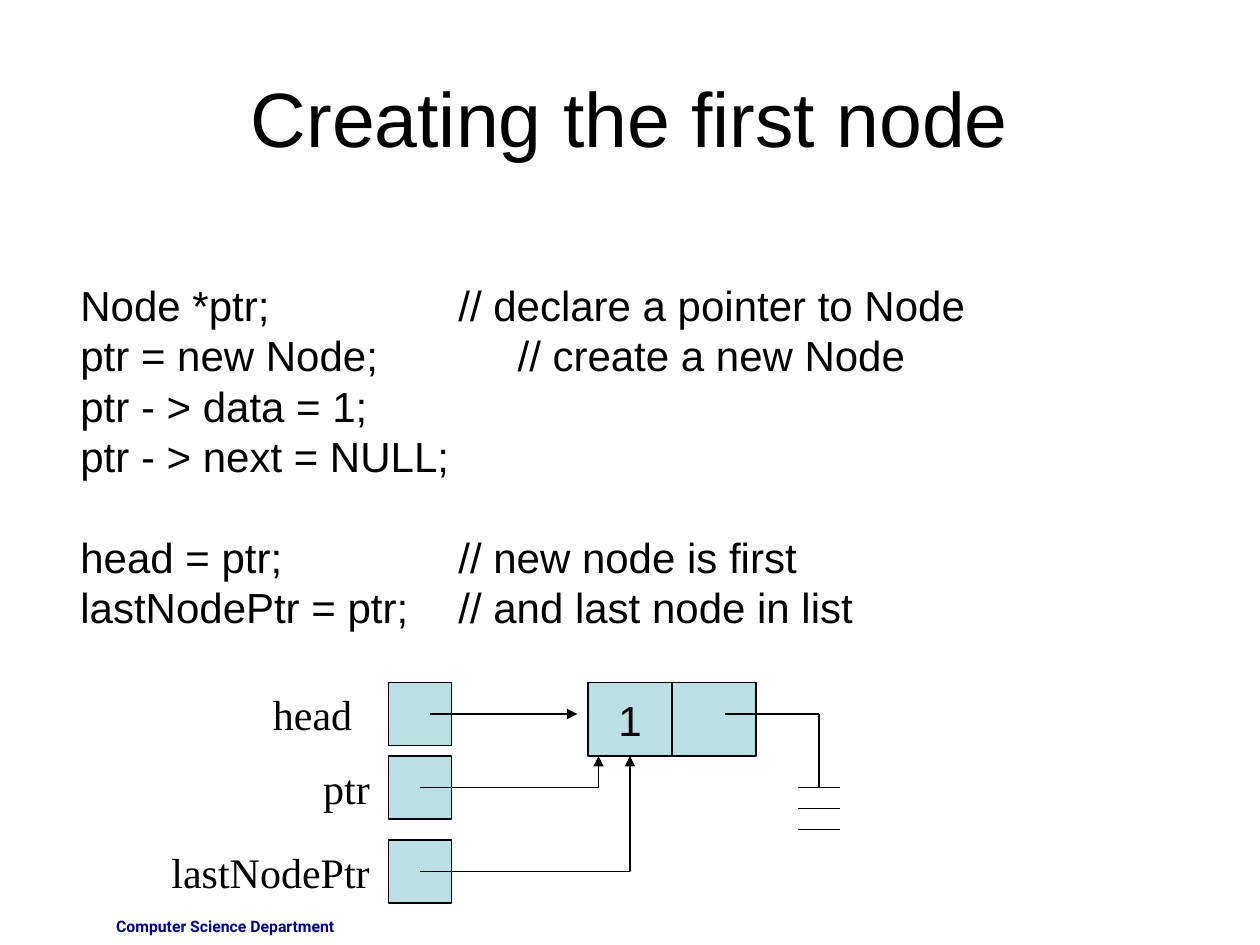
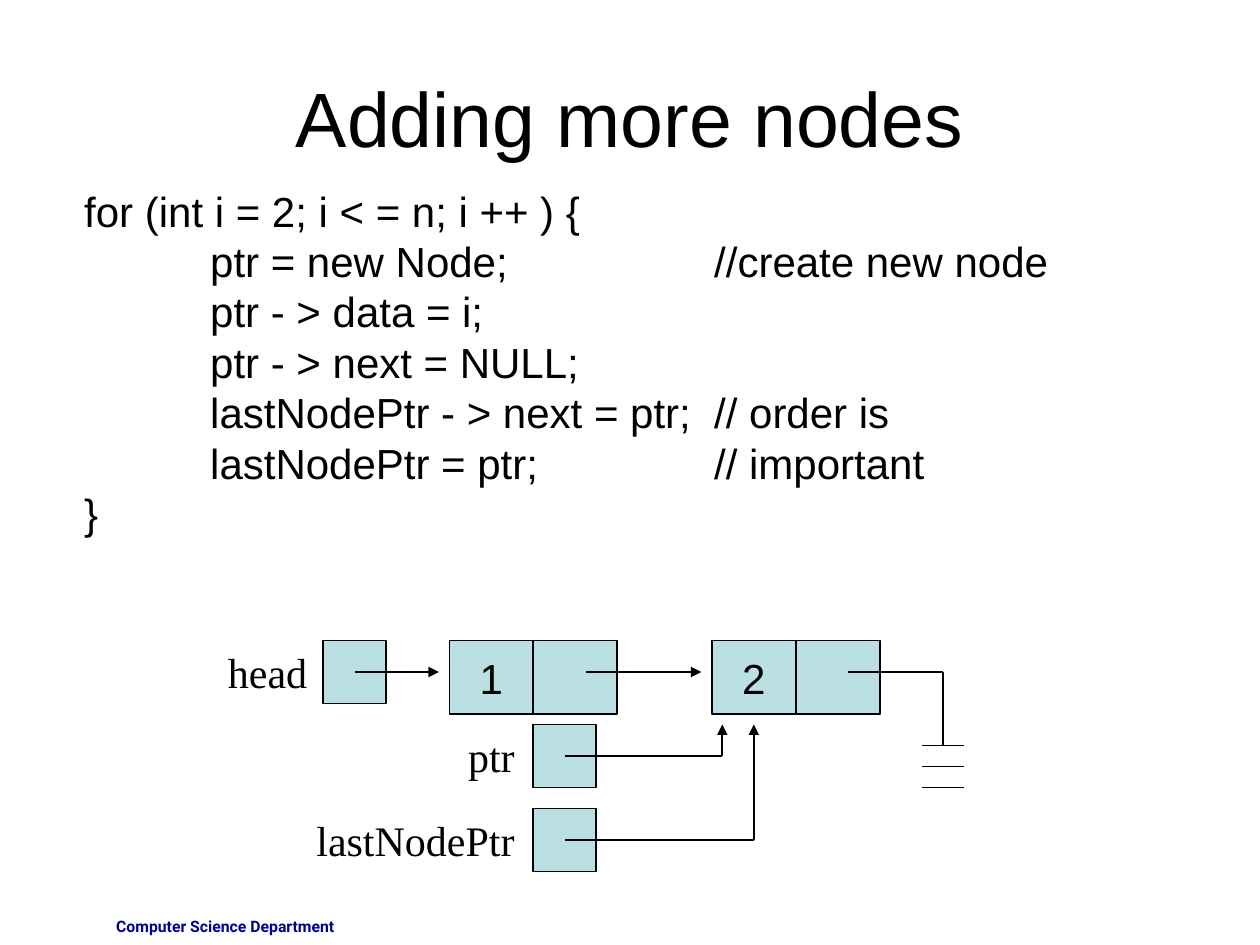
from pptx import Presentation
from pptx.dml.color import RGBColor
from pptx.enum.shapes import MSO_CONNECTOR as CONN, MSO_SHAPE as SHAPE
from pptx.enum.text import MSO_ANCHOR as ANCHOR, PP_ALIGN as ALIGN
from pptx.oxml.ns import qn
from pptx.util import Inches, Pt
from lxml.etree import SubElement

# Shared look
BLACK, CELL_FILL, NAVY = "000000", "BBE0E3", "000099"
SANS, SERIF, FOOT = "Arial", "Times New Roman", "Roboto"
FOOTER = "Computer Science Department"
LINE_PT = 28.8          # line pitch of 24 pt text

# Diagram sizes, in grid units of a twelfth of an inch
UNIT = 1 / 12
CELL, NODE_W, NODE_H = 6, 8, 7
ROW = 3                 # height of the arrow below the top of its cell
LINK = 13               # start of a node's next link, from the node's left

# Content. A code line is its text, or (text, tab stops in inches, gap before in points).
# Diagram offsets are measured from the last node.
# Pointers: name, x, y, gap between label and cell in inches.
SLIDES = [
    dict(
        title="Creating the first node",
        code_box=(0.54, 2.17, 8.5, 2.9), tabs=[3],
        code=[
            "Node *ptr;\t// declare a pointer to Node",
            ("ptr = new Node;\t// create a new Node", [3.47], 0),
            "ptr - > data = 1;",
            "ptr - > next = NULL;",
            ("head = ptr;\t// new node is first", [3], LINE_PT),
            "lastNodePtr = ptr;\t// and last node in list",
        ],
        last_node=(56, 65), nodes=[(0, "1")],
        head=("head", -19, 0, 0.19), head_start=4,
        pointers=[("ptr", -19, 7, 0.05), ("lastNodePtr", -19, 15, 0.05)],
        tip=7,
    ),
    dict(
        title="Adding more nodes",
        code_box=(0.57, 1.42, 9.02, 3.3), tabs=[1, 5],
        code=[
            "for (int i = 2; i < = n; i ++ ) {",
            "\tptr = new Node;\t//create new node",
            "\tptr - > data = i;",
            "\tptr - > next = NULL;",
            "\tlastNodePtr - > next = ptr;\t// order is",
            "\tlastNodePtr = ptr;\t// important",
            "}",
        ],
        last_node=(67.8, 61), nodes=[(-25, "1"), (0, "2")],
        head=("head", -37, 0, 0.03), head_start=3,
        pointers=[("ptr", -17, 8, 0.05), ("lastNodePtr", -17, 16, 0.05)],
        tip=8,
    ),
]


def color(value):
    return RGBColor.from_string(value)


def write(p, text, font=SANS, size=24, fill=BLACK, bold=False,
          align=ALIGN.LEFT, tabs=(), before=0):
    """Fill one paragraph with a formatted run."""
    if tabs:
        tab_list = SubElement(p._p.get_or_add_pPr(), qn("a:tabLst"))
        for stop in tabs:
            SubElement(tab_list, qn("a:tab"), pos=str(Inches(stop)), algn="l")
    p.alignment = align
    if size == 24:
        p.line_spacing = Pt(LINE_PT)
    if before:
        p.space_before = Pt(before)
    r = p.add_run()
    r.text = text
    f = r.font
    f.name, f.size, f.bold = font, Pt(size), bold
    f.color.rgb = color(fill)


def text_frame(s, box, anchor=ANCHOR.TOP):
    tf = s.shapes.add_textbox(*map(Inches, box)).text_frame
    tf.word_wrap = True
    tf.vertical_anchor = anchor
    return tf


def add_text(s, box, text, anchor=ANCHOR.TOP, **fmt):
    write(text_frame(s, box, anchor).paragraphs[0], text, **fmt)


def add_code(s, box, lines, tabs):
    tf = text_frame(s, box)
    for i, line in enumerate(lines):
        text, stops, before = (line, tabs, 0) if isinstance(line, str) else line
        p = tf.paragraphs[0] if i == 0 else tf.add_paragraph()
        write(p, text, tabs=stops, before=before)


def units(*values):
    return [Inches(v * UNIT) for v in values]


def add_cell(s, x, y, w=CELL, h=CELL, text=None):
    sp = s.shapes.add_shape(SHAPE.RECTANGLE, *units(x, y, w, h))
    sp.shadow.inherit = False
    sp.fill.solid()
    sp.fill.fore_color.rgb = color(CELL_FILL)
    sp.line.color.rgb = color(BLACK)
    sp.line.width = Pt(1)
    if text:
        tf = sp.text_frame
        tf.word_wrap = False
        tf.vertical_anchor = ANCHOR.MIDDLE
        write(tf.paragraphs[0], text, align=ALIGN.CENTER)
    return sp


def add_line(s, x1, y1, x2, y2, arrow=False):
    line = s.shapes.add_connector(CONN.STRAIGHT, *units(x1, y1, x2, y2))
    line.line.color.rgb = color(BLACK)
    line.line.width = Pt(1)
    if arrow:
        SubElement(line.line._get_or_add_ln(), qn("a:tailEnd"), type="triangle")
    SubElement(line._element.spPr, qn("a:effectLst"))
    return line


def add_pointer(s, x, y, name, gap):
    add_cell(s, x, y)
    right = x * UNIT - gap
    add_text(s, (right - 2, y * UNIT, 2, 0.5), name, font=SERIF, align=ALIGN.RIGHT)


def add_diagram(s, d):
    x0, y0 = d["last_node"]
    arrow_y = y0 + ROW

    # Nodes: data cell and next cell
    for dx, value in d["nodes"]:
        data_cell = add_cell(s, x0 + dx, y0, NODE_W, NODE_H, value)
        add_cell(s, x0 + dx + NODE_W, y0, NODE_W, NODE_H)

    # Head pointer and the links between nodes
    name, dx, dy, gap = d["head"]
    add_pointer(s, x0 + dx, y0 + dy, name, gap)
    starts = [dx + d["head_start"]] + [nx + LINK for nx, _ in d["nodes"]]
    for start, (nx, _) in zip(starts, d["nodes"]):
        add_line(s, x0 + start, arrow_y, x0 + nx - 1, arrow_y, arrow=True)

    # Null link of the last node
    drop, ground = x0 + 22, y0 + 10
    add_line(s, x0 + LINK, arrow_y, drop, arrow_y)
    add_line(s, drop, arrow_y, drop, ground)
    for i in range(3):
        add_line(s, drop - 2, ground + 2 * i, drop + 2, ground + 2 * i)

    # Pointers that turn up to the last node
    for (name, dx, dy, gap), tip_dx in zip(d["pointers"], (1, NODE_W / 2)):
        x, y = x0 + dx, y0 + dy
        add_pointer(s, x, y, name, gap)
        add_line(s, x + CELL / 2, y + ROW, x0 + tip_dx, y + ROW)
        up = add_line(s, x0 + tip_dx, y + ROW, x0 + tip_dx, y0 + d["tip"], arrow=True)
        if tip_dx == NODE_W / 2 and d["tip"] == NODE_H:
            up.end_connect(data_cell, 2)


def main():
    prs = Presentation()
    prs.slide_width, prs.slide_height = Inches(10), Inches(7.5)
    for d in SLIDES:
        s = prs.slides.add_slide(prs.slide_layouts[6])
        add_text(s, (0.42, 7.23, 2.33, 0.27), FOOTER, font=FOOT, size=9,
                 fill=NAVY, bold=True, align=ALIGN.RIGHT)
        add_text(s, (0.5, 0.3, 9, 1.25), d["title"], size=44,
                 anchor=ANCHOR.MIDDLE, align=ALIGN.CENTER)
        add_code(s, d["code_box"], d["code"], d["tabs"])
        add_diagram(s, d)
    prs.save("out.pptx")


if __name__ == "__main__":
    main()
